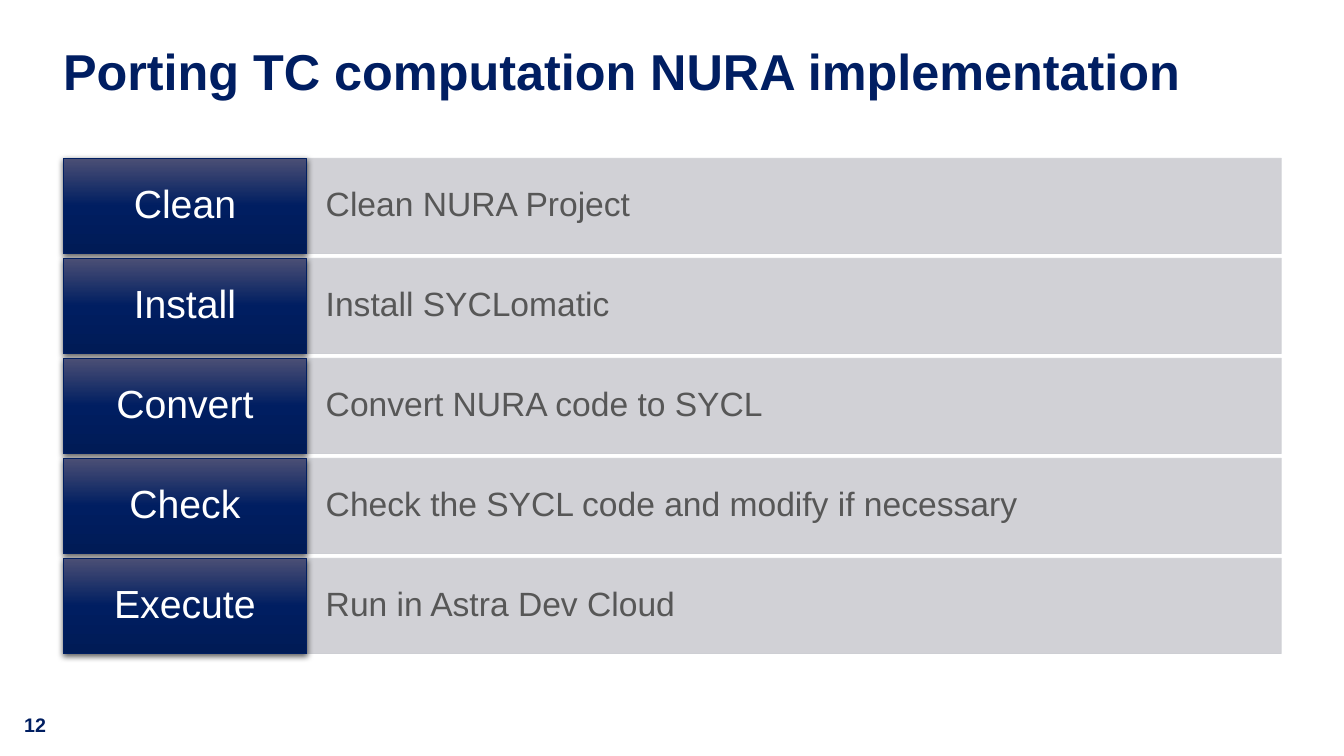
from dataclasses import dataclass

from lxml import etree
from pptx import Presentation
from pptx import util as u
from pptx.dml import color
from pptx.enum import shapes, text
from pptx.oxml import ns


@dataclass(frozen=True)
class Theme:
    font: str = "Arial"
    title: str = "001E62"
    navy: str = "001E61"
    gradient: tuple = ((0, "4B4F75"), (50, "001E61"), (100, "001B56"))
    band: str = "CCCDD2"
    body: str = "575757"
    white: str = "FFFFFF"
    shadow: str = "000000"
    title_size: int = 36
    label_size: int = 28
    body_size: int = 24
    number_size: int = 14


@dataclass(frozen=True)
class Box:
    left: float
    top: float
    width: float
    height: float

    def lengths(self):
        return [u.Cm(side) for side in (self.left, self.top, self.width, self.height)]


THEME = Theme()
STEPS = (
    ("Clean", "Clean NURA Project"),
    ("Install", "Install SYCLomatic"),
    ("Convert", "Convert NURA code to SYCL"),
    ("Check", "Check the SYCL code and modify if necessary"),
    ("Execute", "Run in Astra Dev Cloud"),
)
ROW_GAP = 0.12
LABEL_SHARE = 0.2


def apply(target, formats):
    for name, value in formats.items():
        setattr(target, name, value)


def add_xml(parent, tag, **attributes):
    return etree.SubElement(parent, ns.qn(tag), {k: str(v) for k, v in attributes.items()})


def add_color(parent, rgb, alpha=100):
    node = add_xml(parent, "a:srgbClr", val=rgb)
    if alpha < 100:
        add_xml(node, "a:alpha", val=alpha * 1000)


def write(shape, words, size, rgb, bold=False, insets=(0, 0),
          align=text.PP_ALIGN.LEFT, anchor=text.MSO_ANCHOR.MIDDLE):
    across, down = (u.Cm(inset) for inset in insets)
    frame = shape.text_frame
    apply(frame, {
        "word_wrap": True, "vertical_anchor": anchor,
        "margin_left": across, "margin_right": across,
        "margin_top": down, "margin_bottom": down,
    })
    para = frame.paragraphs[0]
    apply(para, {"alignment": align, "line_spacing": 0.9})
    span = para.add_run()
    span.text = words
    apply(span.font, {"name": THEME.font, "size": u.Pt(size), "bold": bold})
    span.font.color.rgb = color.RGBColor.from_string(rgb)


def add_rectangle(page, box, line_rgb):
    shape = page.shapes.add_shape(shapes.MSO_SHAPE.RECTANGLE, *box.lengths())
    shape.shadow.inherit = False
    shape.line.width = u.Pt(0.5)
    shape.line.color.rgb = color.RGBColor.from_string(line_rgb)
    return shape


def add_band(page, box, words):
    band = add_rectangle(page, box, THEME.band)
    band.fill.solid()
    band.fill.fore_color.rgb = color.RGBColor.from_string(THEME.band)
    for node in band._element.spPr.iter(ns.qn("a:srgbClr")):
        add_xml(node, "a:alpha", val=90000)
    write(band, words, THEME.body_size, THEME.body, insets=(0.48, 0.6))


def add_label(page, box, words):
    label = add_rectangle(page, box, THEME.navy)
    label.fill.gradient()
    label.fill.gradient_angle = 270
    properties = label._element.spPr
    stops = properties.find(".//" + ns.qn("a:gsLst"))
    for stop in list(stops):
        stops.remove(stop)
    for position, rgb in THEME.gradient:
        add_color(add_xml(stops, "a:gs", pos=position * 1000), rgb)
    shadow = add_xml(properties.find(ns.qn("a:effectLst")), "a:outerShdw",
                     blurRad=u.Pt(4.5), dist=u.Pt(1.5), dir=5400000,
                     algn="ctr", rotWithShape=0)
    add_color(shadow, THEME.shadow, 63)
    write(label, words, THEME.label_size, THEME.white, insets=(0.33, 0.23),
          align=text.PP_ALIGN.CENTER)


def add_steps(page, box):
    height = (box.height - ROW_GAP * (len(STEPS) - 1)) / len(STEPS)
    label_width = box.width * LABEL_SHARE
    for index, (name, detail) in enumerate(STEPS):
        top = box.top + index * (height + ROW_GAP)
        add_band(page, Box(box.left + label_width, top, box.width - label_width, height), detail)
        add_label(page, Box(box.left, top, label_width, height), name)


def add_title(page, box):
    title = page.shapes.add_textbox(*box.lengths())
    write(title, "Porting TC computation NURA implementation", THEME.title_size,
          THEME.title, bold=True, anchor=text.MSO_ANCHOR.TOP)


def add_page_number(page, box):
    number = page.shapes.add_textbox(*box.lengths())
    write(number, "12", THEME.number_size, THEME.navy, bold=True, insets=(0.25, 0.13))


def main():
    deck = Presentation()
    apply(deck, {"slide_width": u.Cm(33.87), "slide_height": u.Cm(19.05)})
    page = deck.slides.add_slide(deck.slide_layouts[6])
    add_page_number(page, Box(0.36, 17.88, 1.68, 0.86))
    add_title(page, Box(1.59, 1.19, 30.7, 2.26))
    add_steps(page, Box(1.59, 3.99, 30.7, 12.48))
    deck.save("out.pptx")


if __name__ == "__main__":
    main()
